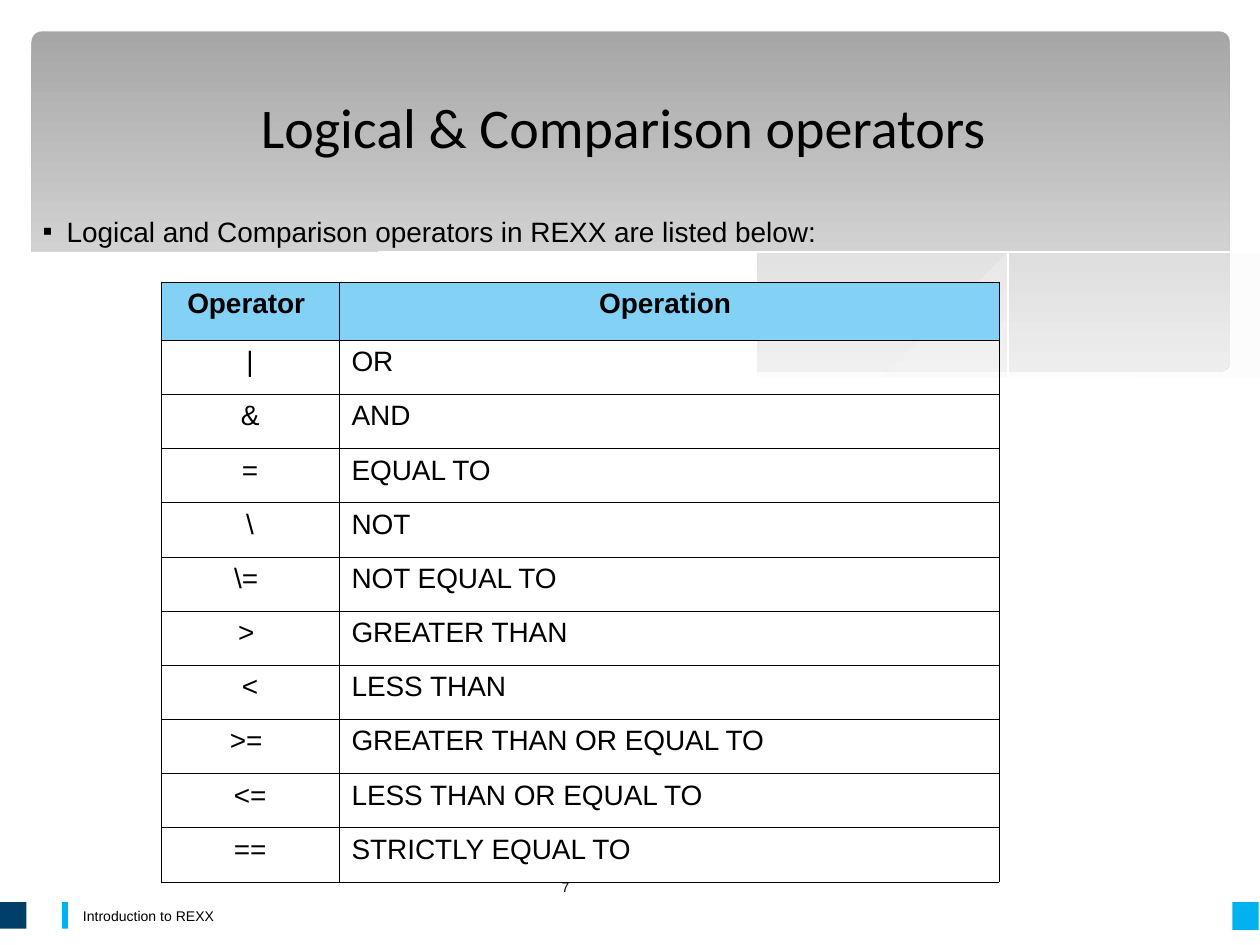
from lxml.etree import SubElement
from pptx import Presentation
from pptx.dml.color import RGBColor
from pptx.enum.shapes import MSO_SHAPE
from pptx.enum.text import MSO_ANCHOR, PP_ALIGN
from pptx.oxml.ns import qn
from pptx.util import Inches, Pt

BLACK = RGBColor(0x00, 0x00, 0x00)
WHITE = RGBColor(0xFF, 0xFF, 0xFF)
MIST = RGBColor(0xF8, 0xF8, 0xF8)
DARK = RGBColor(0xA6, 0xA6, 0xA6)
LIGHT = RGBColor(0xEB, 0xEB, 0xEB)
NAVY = RGBColor(0x00, 0x3F, 0x69)
CYAN = RGBColor(0x00, 0xB2, 0xEF)
SKY = RGBColor(0x83, 0xD1, 0xF5)

TITLE = "Logical & Comparison operators"
INTRO = "Logical and Comparison operators in REXX are listed below:"
FOOTER = "Introduction to REXX"
NUMBER = "7"
ROWS = [
    ("Operator ", "Operation "),
    ("|", "OR"),
    ("&", "AND"),
    ("=", "EQUAL TO"),
    ("\\", "NOT"),
    ("\\= ", "NOT EQUAL TO"),
    ("> ", "GREATER THAN"),
    ("<", "LESS THAN"),
    (">= ", "GREATER THAN OR EQUAL TO"),
    ("<=", "LESS THAN OR EQUAL TO"),
    ("==", "STRICTLY EQUAL TO"),
]
WIDTHS = (1.41, 5.24)
HEAD_H, ROW_H = 0.46, 0.43

# Waves: edges as knots of smooth curves, fill (None for a line), opacity
WAVES = [
    ([[(9.76, 2), (8.61, 2.23), (7.53, 2.48), (6.61, 2.65)],
      [(6.61, 2.65), (7.32, 2.74), (8.14, 2.78), (8.97, 2.7), (9.76, 2.47)]],
     MIST, 29),
    ([[(8.93, 2.73), (7.75, 2.54), (6.29, 2.22), (5.01, 1.96), (3.8, 1.85),
       (2.86, 1.91)],
      [(2.86, 1.91), (4.04, 2.11), (5.3, 2.4), (6.65, 2.66), (7.85, 2.78),
       (8.93, 2.73)]], MIST, 40),
    ([[(3.09, 1.95), (4.16, 1.87), (5.56, 1.97), (7.27, 2.26), (9.07, 2.72)]],
     None, 100),
    ([[(6.13, 2.57), (7.2, 2.29), (8.36, 2.04), (9.75, 1.85)]], None, 100),
    ([[(9.77, 2.46), (8.99, 2.69), (8.09, 2.77), (6.68, 2.65), (5.29, 2.39),
       (3.91, 2.07), (2.71, 1.88), (1.61, 1.84), (0.85, 1.93), (0.23, 2.13)],
      [(0.23, 3.29), (9.77, 3.29)]], WHITE, 100),
]
STEPS = 6
BLOCKS = [
    ((0, 7.16, 0.21, 0.21), NAVY),
    ((9.78, 7.16, 0.21, 0.22), CYAN),
    ((0.49, 7.16, 0.05, 0.21), CYAN),
]


def inches(box):
    return [Inches(v) for v in box]


def style(para, size, **extra):
    look = {"name": "Arial", "size": Pt(size), "bold": False, **extra}
    for key, value in look.items():
        setattr(para.font, key, value)
    para.font.color.rgb = BLACK


def add_block(shapes, kind, box):
    shape = shapes.add_shape(kind, *inches(box))
    shape.shadow.inherit = False
    shape.line.fill.background()
    return shape


def smooth(knots):
    """Return points of a Catmull-Rom curve through the knots."""
    ends = [knots[0], *knots, knots[-1]]
    points = [knots[0]]
    for quad in zip(ends, ends[1:], ends[2:], ends[3:]):
        for step in range(1, STEPS + 1):
            t = step / STEPS
            points.append(tuple(
                b + t * (c - a) / 2 + t**2 * (2 * a - 5 * b + 4 * c - d) / 2
                + t**3 * (3 * b - a - 3 * c + d) / 2
                for a, b, c, d in zip(*quad)))
    return points


def add_wave(shapes, edges, color, alpha):
    points = [point for knots in edges for point in smooth(knots)]
    pen = shapes.build_freeform(*points[0], scale=Inches(1))
    pen.add_line_segments(points[1:], close=color is not None)
    wave = pen.convert_to_shape()
    wave.shadow.inherit = False
    if color is None:
        wave.fill.background()
        wave.line.color.rgb = WHITE
        wave.line.width = Pt(0)
        return
    wave.line.fill.background()
    wave.fill.solid()
    wave.fill.fore_color.rgb = color
    if alpha < 100:
        tint = next(wave.element.iter(qn("a:srgbClr")))
        SubElement(tint, qn("a:alpha"), val=str(alpha * 1000))


def add_text(shapes, box, text, size, anchor, bullet=None):
    frame = shapes.add_textbox(*inches(box)).text_frame
    frame.word_wrap = True
    frame.vertical_anchor = anchor
    para = frame.paragraphs[0]
    para.text = text
    if bullet:
        add_bullet(para, *bullet)
    style(para, size)


def add_bullet(para, mark, indent):
    props = para._p.get_or_add_pPr()
    props.set("marL", str(Inches(indent)))
    props.set("indent", str(-Inches(indent)))
    color = SubElement(props, qn("a:buClr"))
    SubElement(color, qn("a:srgbClr"), val=str(BLACK))
    SubElement(props, qn("a:buFont"), typeface="Arial")
    SubElement(props, qn("a:buChar"), char=mark)


def add_border(cell, head):
    props = cell._tc.get_or_add_tcPr()
    for side in "LRTB":
        width = Pt(0.75 if head and side == "T" else 0.45)
        line = SubElement(props, qn("a:ln" + side), w=str(width))
        fill = SubElement(line, qn("a:solidFill"))
        SubElement(fill, qn("a:srgbClr"), val=str(BLACK))


def add_grid(shapes):
    height = HEAD_H + ROW_H * (len(ROWS) - 1)
    box = inches((1.28, 2.24, sum(WIDTHS), height))
    table = shapes.add_table(len(ROWS), len(WIDTHS), *box).table
    table.first_row = table.horz_banding = False
    for col, width in zip(table.columns, WIDTHS):
        col.width = Inches(width)
    for r, texts in enumerate(ROWS):
        head = r == 0
        table.rows[r].height = Inches(HEAD_H if head else ROW_H)
        for c, text in enumerate(texts):
            cell = table.cell(r, c)
            add_border(cell, head)
            if head:
                cell.fill.solid()
                cell.fill.fore_color.rgb = SKY
            else:
                cell.fill.background()
            cell.text = text
            para = cell.text_frame.paragraphs[0]
            para.alignment = PP_ALIGN.CENTER if head or c == 0 else PP_ALIGN.LEFT
            style(para, 16, bold=head)


def set_title(shapes):
    title = shapes.title
    shapes.element.append(title.element)  # in front of the waves
    title.left, title.top, title.width, title.height = inches((0.2, 0.65, 9.5, 0.7))
    title.text = TITLE
    title.text_frame.vertical_anchor = MSO_ANCHOR.MIDDLE
    para = title.text_frame.paragraphs[0]
    para.alignment = PP_ALIGN.CENTER
    style(para, 32, name="Calibri")


def main():
    deck = Presentation()
    deck.slide_width, deck.slide_height = Inches(10), Inches(7.5)
    shapes = deck.slides.add_slide(deck.slide_layouts[5]).shapes

    panel = add_block(shapes, MSO_SHAPE.ROUNDED_RECTANGLE, (0.25, 0.25, 9.51, 2.7))
    panel.adjustments[0] = 0.03
    panel.fill.gradient()
    panel.fill.gradient_angle = 270
    for stop, place, color in zip(panel.fill.gradient_stops, (0, 1), (DARK, LIGHT)):
        stop.position = place
        stop.color.rgb = color
    for wave in WAVES:
        add_wave(shapes, *wave)

    add_text(shapes, (0.56, 7.14, 7.79, 0.26), FOOTER, 8, MSO_ANCHOR.MIDDLE)
    for box, color in BLOCKS:
        block = add_block(shapes, MSO_SHAPE.RECTANGLE, box)
        block.fill.solid()
        block.fill.fore_color.rgb = color

    set_title(shapes)
    add_grid(shapes)
    add_text(shapes, (4.36, 6.84, 1.27, 0.4), NUMBER, 8, MSO_ANCHOR.MIDDLE)
    add_text(shapes, (0.24, 1.65, 9.5, 3.23), INTRO, 16, MSO_ANCHOR.TOP, ("▪", 0.19))
    deck.save("out.pptx")


if __name__ == "__main__":
    main()
